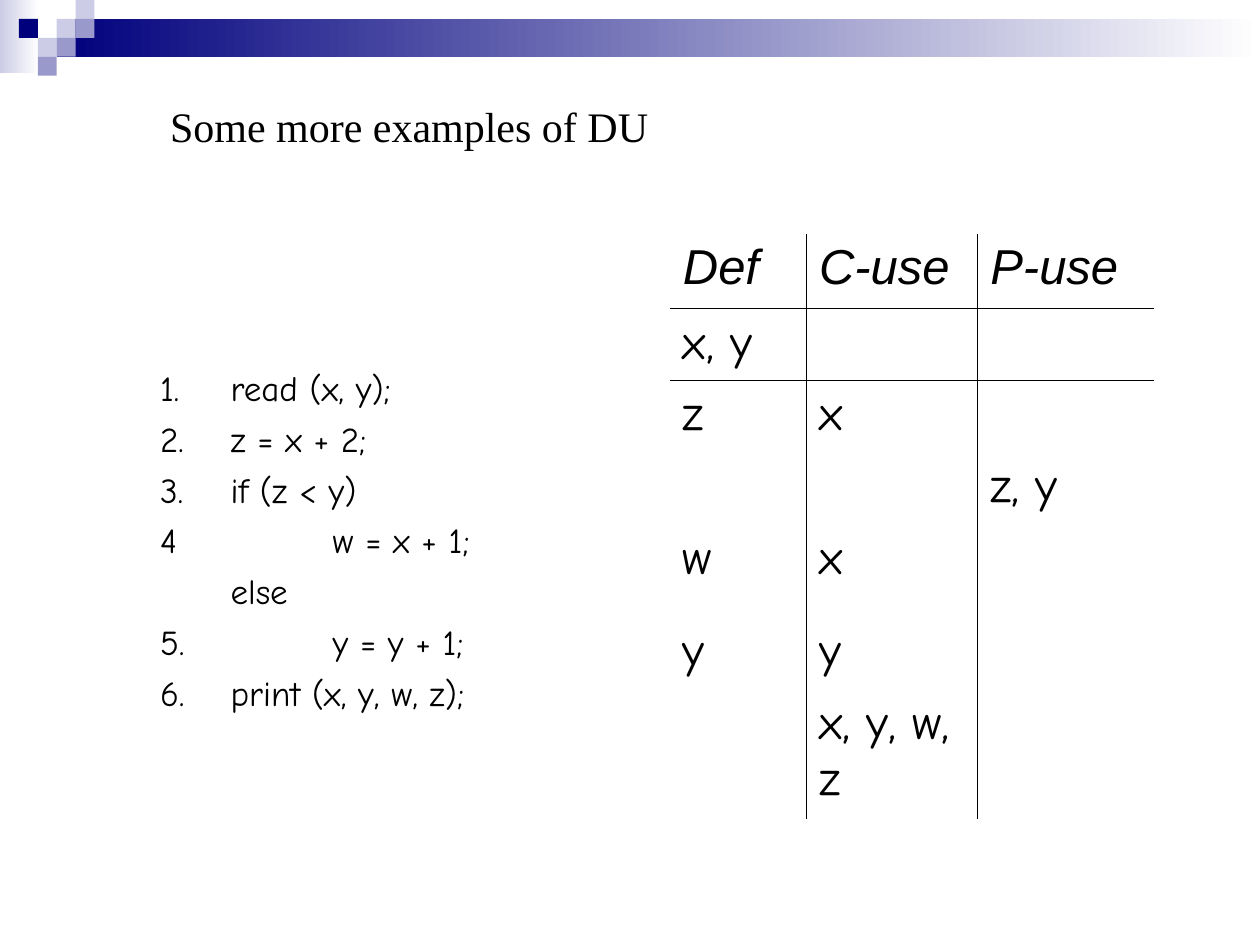
from lxml import etree
from pptx import Presentation
from pptx.dml.color import RGBColor
from pptx.enum.shapes import MSO_SHAPE
from pptx.enum.text import MSO_ANCHOR, MSO_AUTO_SIZE, PP_ALIGN
from pptx.oxml.ns import qn
from pptx.util import Inches, Pt

RECT = MSO_SHAPE.RECTANGLE
TOP, LEFT, FIXED = MSO_ANCHOR.TOP, PP_ALIGN.LEFT, MSO_AUTO_SIZE.NONE

BLACK = RGBColor(0, 0, 0)
WHITE = RGBColor(255, 255, 255)
NAVY = RGBColor(0, 0, 0x7D)
LILAC = RGBColor(0xCC, 0xCC, 0xE6)
MAUVE = RGBColor(0x99, 0x99, 0xCC)

UNIT = 0.15  # side of one square in the corner pattern
SQUARES = [(3, 1, LILAC), (4, 0, LILAC), (4, 1, MAUVE), (2, 2, LILAC),
           (1, 1, NAVY), (3, 2, MAUVE), (2, 3, MAUVE)]

TITLE = {"size": Pt(24), "name": "Times New Roman"}
CODE = {"size": Pt(20), "name": "Comic Neue"}
HEAD = {"size": Pt(28), "name": "Arial", "italic": True, "bold": False}
CELL = {"size": Pt(28), "name": "Comic Neue", "bold": False}

# Text and indent of each code line
FLAT, NEST = 0.56, 1.37
LINES = [("1.\tread (x, y);", FLAT), ("2.\tz = x + 2;", FLAT),
         ("3.\tif (z < y)", FLAT), ("4\tw = x + 1;", NEST),
         ("\telse", FLAT), ("5.\ty = y + 1;", NEST),
         ("6.\tprint (x, y, w, z);", FLAT)]

COLS = [1.08, 1.36, 1.4]
ROWS = [0.59, 0.57, 0.57, 0.57, 0.74, 0.57, 1.03]
USES = [("Def", "C-use", "P-use"), ("x, y", "", ""), ("z", "x", ""),
        ("", "", "z, y"), ("w", "x", ""), ("y", "y", ""),
        ("", "x, y, w, z", "")]
NO_GRID = "{2D5ABB26-0587-4C30-8999-92F81FD0307C}"


def style(font, look):
    for key, value in look.items():
        setattr(font, key, value)
    font.color.rgb = BLACK


def add_box(slide, x, y, w, h, tone, fade=False):
    box = slide.shapes.add_shape(RECT, *map(Inches, (x, y, w, h)))
    box.shadow.inherit = False
    box.line.fill.background()
    if fade:
        box.fill.gradient()
        box.fill.gradient_angle = 0
        for stop, color, place in zip(box.fill.gradient_stops,
                                      (tone, WHITE), (0, 1)):
            stop.color.rgb = color
            stop.position = place
    else:
        box.fill.solid()
        box.fill.fore_color.rgb = tone


def place(shape, x, y, w, h):
    shape.left, shape.top, shape.width, shape.height = map(
        Inches, (x, y, w, h))
    frame = shape.text_frame
    frame.word_wrap = True
    frame.auto_size = FIXED
    frame.vertical_anchor = TOP
    return frame


def add_title(slide, text):
    frame = place(slide.shapes.title, 1.25, 0.75, 7.92, 0.5)
    frame.text = text
    frame.paragraphs[0].alignment = LEFT
    style(frame.paragraphs[0].font, TITLE)


def add_code(slide):
    frame = place(slide.placeholders[1], 1.17, 2.86, 3.67, 3.18)
    for i, (text, dent) in enumerate(LINES):
        para = frame.add_paragraph() if i else frame.paragraphs[0]
        para.text = text
        props = para._p.get_or_add_pPr()
        props.set("marL", str(Inches(dent)))
        props.set("indent", str(-Inches(dent)))
        para.space_before = Pt(5 if i else 0)
        etree.SubElement(props, qn("a:buNone"))
        style(para.font, CODE)


def rule(cell, side):
    line = etree.SubElement(cell._tc.get_or_add_tcPr(), qn("a:ln" + side),
                            w=str(Pt(0.45)))
    fill = etree.SubElement(line, qn("a:solidFill"))
    etree.SubElement(fill, qn("a:srgbClr"), val=str(BLACK))


def add_uses(slide):
    table = slide.shapes.add_table(
        len(ROWS), len(COLS), Inches(5.32), Inches(1.86),
        Inches(sum(COLS)), Inches(sum(ROWS))).table
    table.first_row = table.horz_banding = False
    table._tbl.tblPr.find(qn("a:tableStyleId")).text = NO_GRID
    for col, wide in zip(table.columns, COLS):
        col.width = Inches(wide)
    for r, (row, high) in enumerate(zip(table.rows, ROWS)):
        row.height = Inches(high)
        for c, cell in enumerate(row.cells):
            # Rules between columns and under the head row
            edges = {"L": c > 0, "R": c < len(COLS) - 1,
                     "T": r == 1, "B": r == 0}
            for side, shown in edges.items():
                if shown:
                    rule(cell, side)
            cell.fill.background()
            cell.text = USES[r][c]
            style(cell.text_frame.paragraphs[0].font, CELL if r else HEAD)


def main():
    deck = Presentation()
    deck.slide_width, deck.slide_height = Inches(10), Inches(7.5)
    slide = deck.slides.add_slide(deck.slide_layouts[1])
    # Banner and corner pattern
    add_box(slide, 0, 0, 0.31, 0.58, LILAC, fade=True)
    add_box(slide, 3 * UNIT, UNIT, 10 - 3 * UNIT, 2 * UNIT, NAVY, fade=True)
    for col, row, tone in SQUARES:
        add_box(slide, col * UNIT, row * UNIT, UNIT, UNIT, tone)
    # Content
    add_title(slide, "Some more examples of DU")
    add_code(slide)
    add_uses(slide)
    deck.save("out.pptx")


if __name__ == "__main__":
    main()
